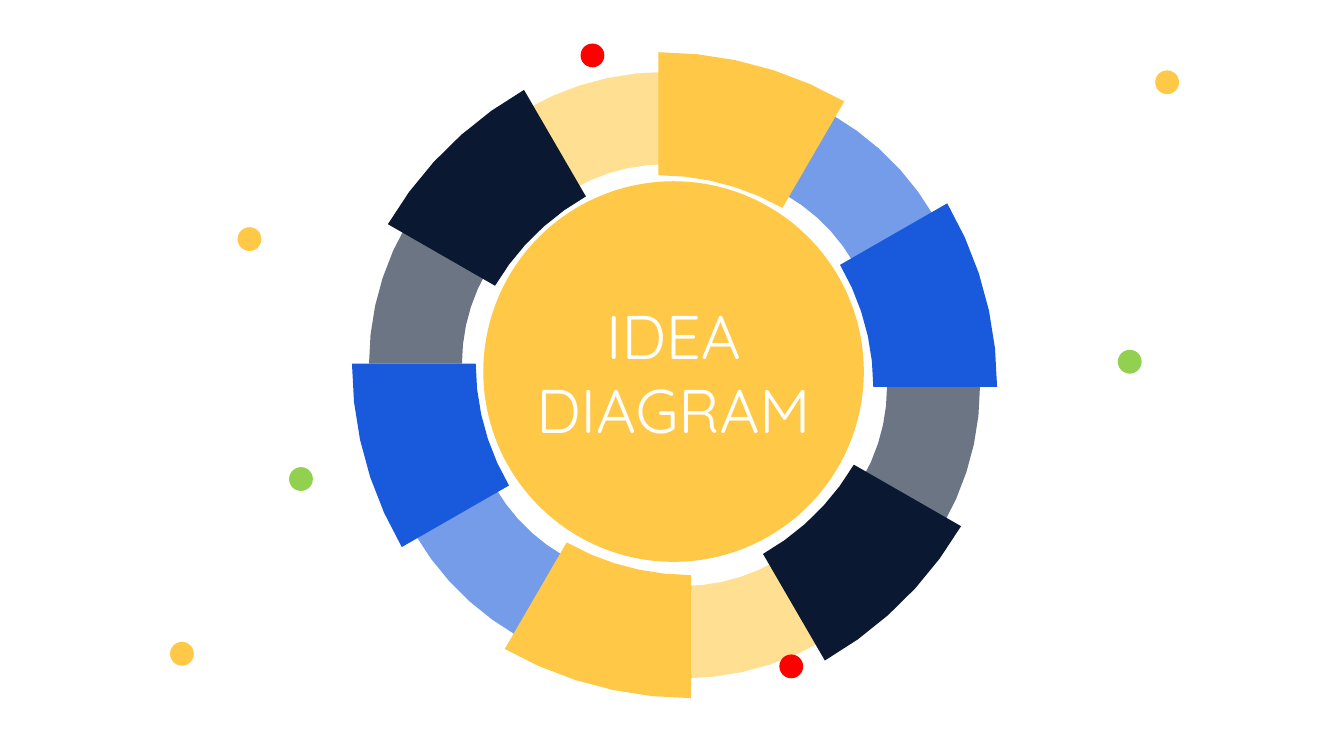
from math import cos, radians, sin

from pptx import Presentation
from pptx import util as u
from pptx.dml.color import RGBColor
from pptx.enum import shapes, text

HUES = {
    "gold": "FFC947", "cream": "FFDF91", "blue": "185ADB", "sky": "749CE9",
    "navy": "0A1931", "gray": "6C7583", "red": "FF0000", "green": "92D050",
    "white": "FFFFFF",
}
PAGE = (960, 540)
HUB = (481.8, 268)
PALE = {"outer": (198.2, 197.6), "inner": (131.8, 131.6)}
BOLD = {"outer": (265.7, 262.1), "inner": (177.3, 174.2)}
WEDGES = [
    (PALE, "gray", 150, (-20, -8.3)),
    (PALE, "cream", 90, (-6.4, -19)),
    (PALE, "sky", 30, (13.8, -14.7)),
    (BOLD, "navy", 120, (25.4, 23.2)),
    (BOLD, "gold", 60, (-11.6, 31.4)),
    (BOLD, "blue", 0, (-35.3, 8.3)),
]
DOTS = [
    ("gold", 130, 467), ("gold", 178.2, 170.8), ("green", 215, 342.2),
    ("red", 423.2, 39.6), ("red", 565.2, 476),
    ("gold", 833.7, 58.8), ("green", 807, 258.4),
]


def paint(shape, hue):
    """Give a shape a flat fill without line or shadow."""
    shape.shadow.inherit = False
    shape.fill.solid()
    shape.fill.fore_color.rgb = RGBColor.from_string(HUES[hue])
    shape.line.fill.background()
    return shape


def disc(slide, hue, mid, size):
    """Draw a circle around a middle point."""
    left, top = (c - size / 2 for c in mid)
    return paint(slide.shapes.add_shape(
        shapes.MSO_SHAPE.OVAL, u.Pt(left), u.Pt(top), u.Pt(size), u.Pt(size)), hue)


def arc(mid, radii, angles):
    """List the points of an arc, with angles counted from the right upward."""
    return [(u.Pt(mid[0] + radii[0] * cos(radians(a))),
             u.Pt(mid[1] - radii[1] * sin(radians(a)))) for a in angles]


def wedge(slide, ring, hue, start, mid):
    """Draw one twelfth of a ring."""
    span = range(start, start + 31, 6)
    dots = arc(mid, ring["outer"], span) + arc(mid, ring["inner"], reversed(span))
    pen = slide.shapes.build_freeform(*dots[0])
    pen.add_line_segments(dots[1:], close=True)
    paint(pen.convert_to_shape(), hue)


def wheel(slide, mid):
    """Draw the wedges, each with its twin half a turn away."""
    for ring, hue, start, shift in WEDGES:
        for turn, sign in ((0, 1), (180, -1)):
            spot = [c + sign * s for c, s in zip(mid, shift)]
            wedge(slide, ring, hue, start + turn, spot)


def core(slide, mid):
    """Draw the central disc with the title."""
    frame = disc(slide, "gold", mid, 271.8).text_frame
    look = {"word_wrap": False, "vertical_anchor": text.MSO_ANCHOR.MIDDLE,
            "margin_left": 0, "margin_right": 0}
    for key, val in look.items():
        setattr(frame, key, val)
    frame.text = "IDEA\nDIAGRAM"
    for para in frame.paragraphs:
        para.alignment = text.PP_ALIGN.CENTER
        font = para.runs[0].font
        for key, val in {"name": "Quicksand", "size": u.Pt(44)}.items():
            setattr(font, key, val)
        font.color.rgb = RGBColor.from_string(HUES["white"])


def main():
    """Build the slide and save it."""
    deck = Presentation()
    deck.slide_width, deck.slide_height = map(u.Pt, PAGE)
    slide = deck.slides.add_slide(deck.slide_layouts[6])
    wheel(slide, HUB)
    core(slide, (HUB[0] - 0.7, HUB[1] - 2.6))
    for hue, *mid in DOTS:
        disc(slide, hue, mid, 17)
    deck.save("out.pptx")


if __name__ == "__main__":
    main()
